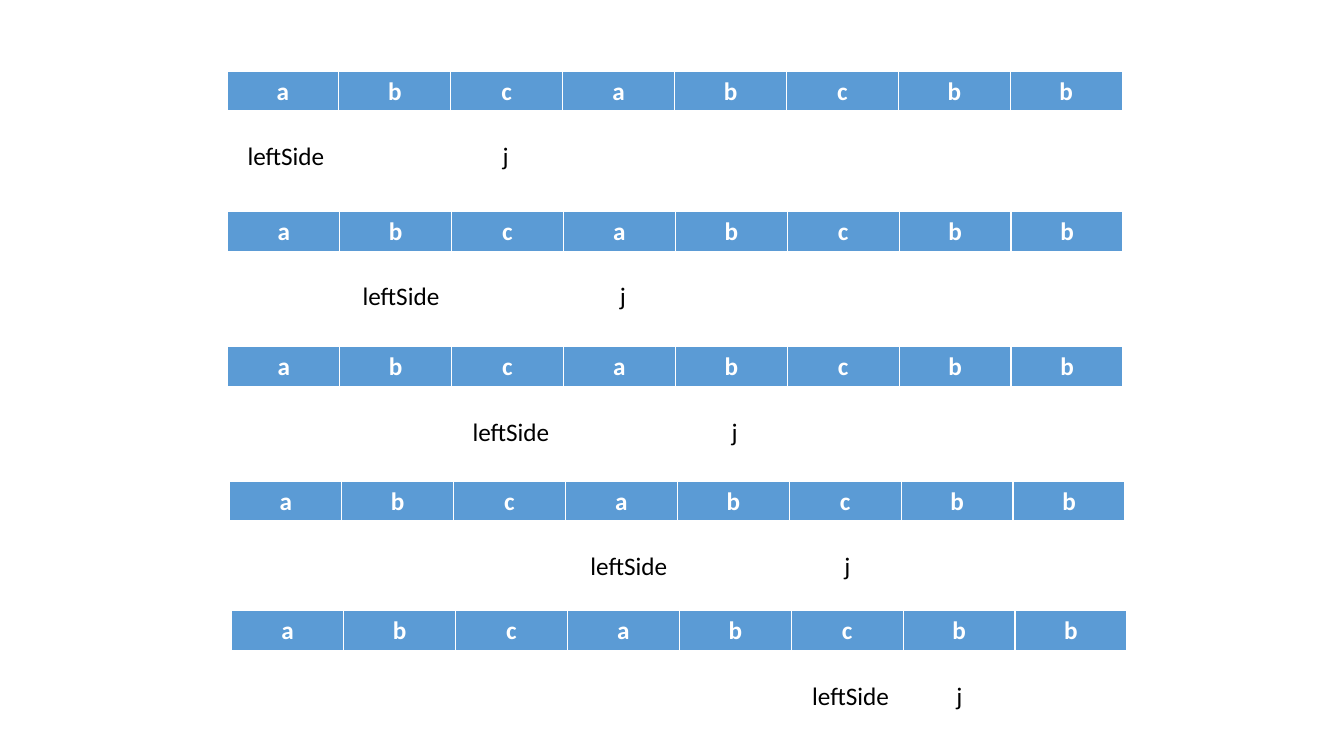
from dataclasses import dataclass

from lxml import etree
from pptx import Presentation
from pptx import util as u
from pptx.dml.color import RGBColor
from pptx.enum import text
from pptx.oxml import ns

FONT = "Calibri"
WHITE, BLACK, BLUE = "FFFFFF", "000000", "5B9BD5"
LETTERS = "abcabcbb"
CELL_WIDTH, CELL_HEIGHT = u.Cm(2.82), u.Cm(1.03)
LABEL_DROP, LABEL_HEIGHT = u.Cm(1.62), u.Cm(1.03)
POINTER_WIDTHS = {"j": u.Cm(0.51), "leftSide": u.Cm(2.49)}
BORDERS = {"lnL": 1, "lnR": 1, "lnT": 1, "lnB": 3}


@dataclass
class Step:
    """One state of the sliding window; positions in cm."""
    left: float
    top: float
    j: float
    left_side: float


STEPS = [
    Step(5.72, 1.80, 12.42, 5.99),
    Step(5.74, 5.33, 15.37, 8.89),
    Step(5.74, 8.74, 18.19, 11.66),
    Step(5.79, 12.12, 21.03, 14.63),
    Step(5.84, 15.39, 23.85, 20.22),
]


def rgb(color: str) -> RGBColor:
    return RGBColor.from_string(color)


def style_text(frame, color: str, bold: bool = False) -> None:
    font = frame.paragraphs[0].runs[0].font
    font.name, font.size, font.bold = FONT, u.Pt(18), bold
    font.color.rgb = rgb(color)


def border_cell(cell) -> None:
    properties = cell._tc.get_or_add_tcPr()
    for position, (side, points) in enumerate(BORDERS.items()):
        line = etree.Element(ns.qn(f"a:{side}"), w=str(u.Pt(points)))
        fill = etree.SubElement(line, ns.qn("a:solidFill"))
        etree.SubElement(fill, ns.qn("a:srgbClr"), val=WHITE)
        properties.insert(position, line)


def draw_letters(slide, step: Step) -> None:
    letter_row = slide.shapes.add_table(
        1, len(LETTERS), u.Cm(step.left), u.Cm(step.top),
        CELL_WIDTH * len(LETTERS), CELL_HEIGHT).table
    for column, letter in enumerate(LETTERS):
        letter_row.columns[column].width = CELL_WIDTH
        cell = letter_row.cell(0, column)
        cell.fill.solid()
        cell.fill.fore_color.rgb = rgb(BLUE)
        border_cell(cell)
        cell.vertical_anchor = text.MSO_ANCHOR.MIDDLE
        cell.text_frame.text = letter
        cell.text_frame.paragraphs[0].alignment = text.PP_ALIGN.CENTER
        style_text(cell.text_frame, WHITE, bold=True)


def draw_pointer(slide, name: str, left: float, top: float) -> None:
    frame = slide.shapes.add_textbox(
        u.Cm(left), u.Cm(top) + LABEL_DROP,
        POINTER_WIDTHS[name], LABEL_HEIGHT).text_frame
    frame.word_wrap = False
    frame.auto_size = text.MSO_AUTO_SIZE.SHAPE_TO_FIT_TEXT
    frame.text = name
    style_text(frame, BLACK)


presentation = Presentation()
presentation.slide_width, presentation.slide_height = u.Cm(33.87), u.Cm(19.05)
slide = presentation.slides.add_slide(presentation.slide_layouts[6])

# Each step: the string, then its two window pointers
for step in STEPS:
    draw_letters(slide, step)
    draw_pointer(slide, "j", step.j, step.top)
    draw_pointer(slide, "leftSide", step.left_side, step.top)

presentation.save("out.pptx")
